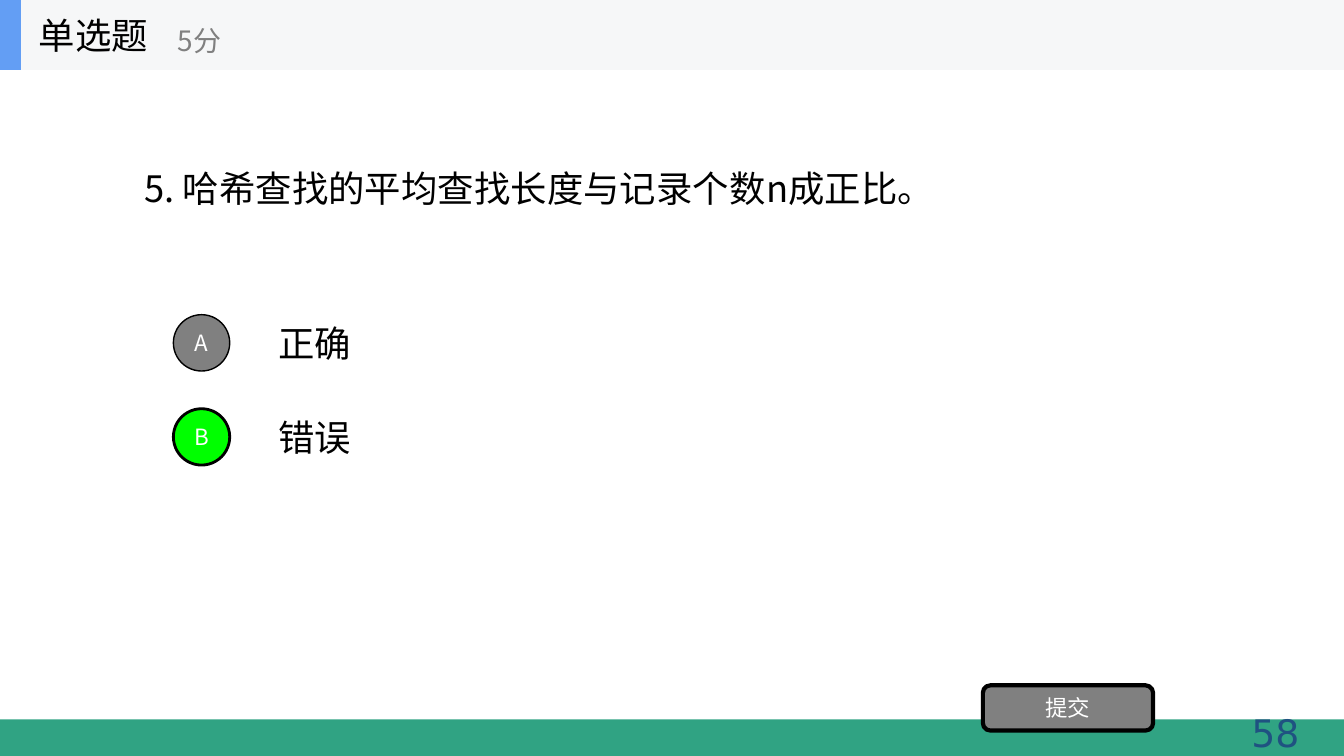
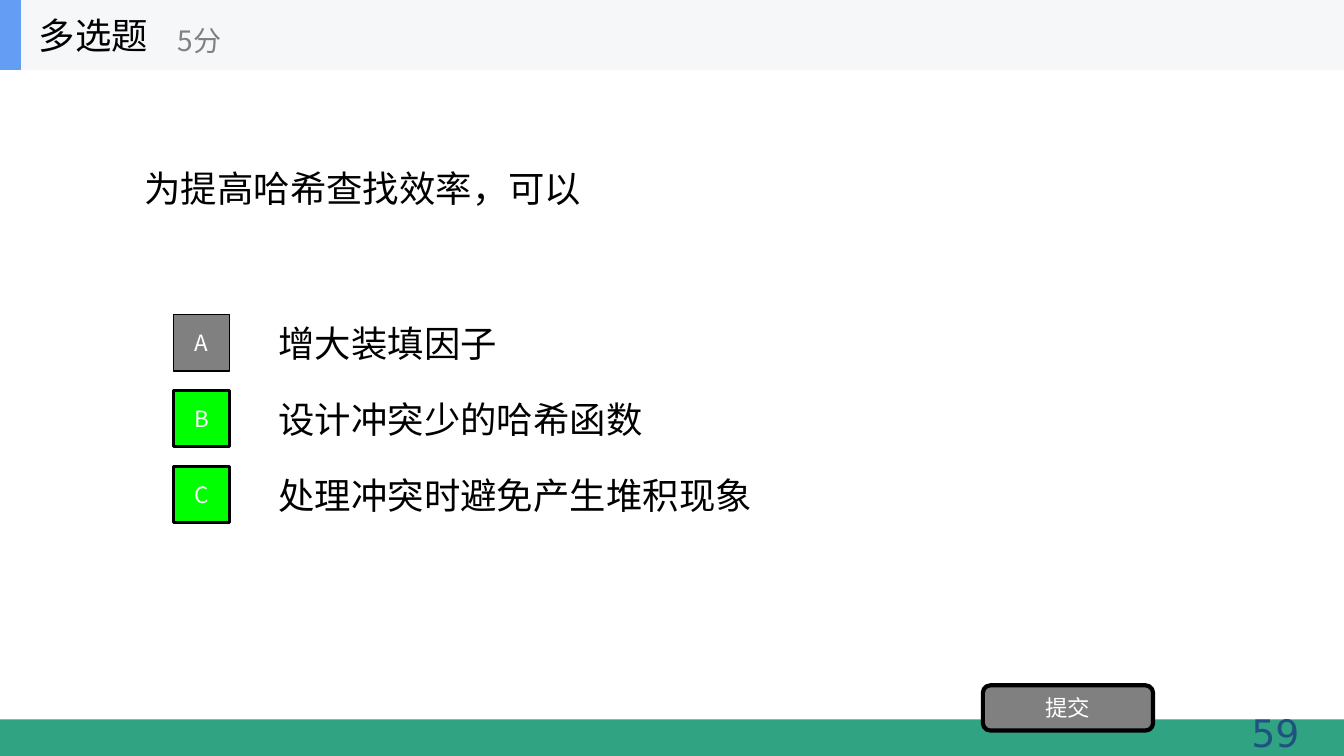
from lxml import etree
from pptx import Presentation
from pptx.dml.color import RGBColor
from pptx.enum.shapes import MSO_SHAPE as Shape
from pptx.enum.text import MSO_ANCHOR as Anchor, MSO_AUTO_SIZE as AutoSize, PP_ALIGN as Align
from pptx.oxml.ns import qn
from pptx.util import Cm, Pt

COLORS = {
    "ink": "000000",
    "white": "FFFFFF",
    "gray": "808080",
    "correct": "00FF00",
    "header": "F6F7F8",
    "accent": "639EF4",
    "footer": "30A383",
    "number": "1F5281",
}
CJK_FONT = "Noto Sans CJK SC"
NUMBER_FONT = "DejaVu Sans"
SLIDE_W, SLIDE_H = 33.87, 19.05
HEADER_H, FOOTER_H = 1.76, 0.92
OPTION_TOP, OPTION_H, BADGE = 7.75, 1.78, 1.42

QUESTIONS = [
    {
        "type": "单选题",
        "text": "5. 哈希查找的平均查找长度与记录个数n成正比。",
        "badge": Shape.OVAL,
        "pitch": 2.37,
        "options": [("A", "正确", False), ("B", "错误", True)],
        "number": "58",
    },
    {
        "type": "多选题",
        "text": "为提高哈希查找效率，可以",
        "badge": Shape.RECTANGLE,
        "pitch": 1.91,
        "options": [
            ("A", "增大装填因子", False),
            ("B", "设计冲突少的哈希函数", True),
            ("C", "处理冲突时避免产生堆积现象", True),
        ],
        "number": "59",
    },
]


def write(box, text, size, color="ink", align=Align.LEFT, font=CJK_FONT, anchor=Anchor.MIDDLE):
    frame = box.text_frame
    frame.word_wrap = True
    frame.auto_size = AutoSize.NONE
    frame.vertical_anchor = anchor
    paragraph = frame.paragraphs[0]
    paragraph.alignment = align
    run = paragraph.add_run()
    run.text = text
    run.font.size = Pt(size)
    run.font.color.rgb = RGBColor.from_string(COLORS[color])
    run.font.name = font
    # East Asian characters need their own typeface entry
    latin = run.font._element.find(qn("a:latin"))
    east_asian = etree.Element(qn("a:ea"), typeface=font)
    latin.addnext(east_asian)


def add_block(slide, kind, left, top, width, height, fill, line_width=0):
    block = slide.shapes.add_shape(kind, Cm(left), Cm(top), Cm(width), Cm(height))
    block.shadow.inherit = False
    block.fill.solid()
    block.fill.fore_color.rgb = RGBColor.from_string(COLORS[fill])
    if line_width:
        block.line.color.rgb = RGBColor.from_string(COLORS["ink"])
        block.line.width = Pt(line_width)
    else:
        block.line.fill.background()
    return block


prs = Presentation()
prs.slide_width, prs.slide_height = Cm(SLIDE_W), Cm(SLIDE_H)
title_only = prs.slide_layouts[5]

for question in QUESTIONS:
    slide = prs.slides.add_slide(title_only)

    # Header band with question type and points
    add_block(slide, Shape.RECTANGLE, 0, 0, SLIDE_W, HEADER_H, "header")
    accent = add_block(slide, Shape.RECTANGLE, 0, 0, 0.53, HEADER_H, "accent")
    title = slide.shapes.title
    title.left, title.top, title.width, title.height = Cm(0.72), Cm(0), Cm(5.28), Cm(HEADER_H)
    write(title, question["type"], 26)
    accent.element.addnext(title.element)  # bring the title in front of the band
    points = slide.shapes.add_textbox(Cm(4.23), Cm(0.31), Cm(6.35), Cm(1.42))
    write(points, "5分", 20, "gray")

    # Footer band with page number
    add_block(slide, Shape.RECTANGLE, 0, SLIDE_H - FOOTER_H, SLIDE_W, FOOTER_H, "footer")
    page_number = slide.shapes.add_textbox(Cm(25.52), Cm(17.76), Cm(7.48), Cm(1.42))
    write(page_number, question["number"], 27, "number", Align.RIGHT, NUMBER_FONT, Anchor.TOP)

    # Question
    stem = slide.shapes.add_textbox(Cm(3.39), Cm(HEADER_H), Cm(27.1), Cm(5.93))
    write(stem, question["text"], 26)

    # Answer options; correct ones are green with a heavier outline
    for row, (letter, answer, correct) in enumerate(question["options"]):
        top = OPTION_TOP + row * question["pitch"]
        option = slide.shapes.add_textbox(Cm(6.77), Cm(top), Cm(23.7), Cm(OPTION_H))
        write(option, answer, 26)
        fill, outline = ("correct", 2) if correct else ("gray", 1)
        badge_top = top + (OPTION_H - BADGE) / 2
        badge = add_block(slide, question["badge"], 4.37, badge_top, BADGE, BADGE, fill, outline)
        write(badge, letter, 16, "white", Align.CENTER)

    # Submit button
    submit = add_block(slide, Shape.ROUNDED_RECTANGLE, 24.77, 17.27, 4.29, 1.14, "gray", 3)
    write(submit, "提交", 16, "white", Align.CENTER)

prs.save("out.pptx")
